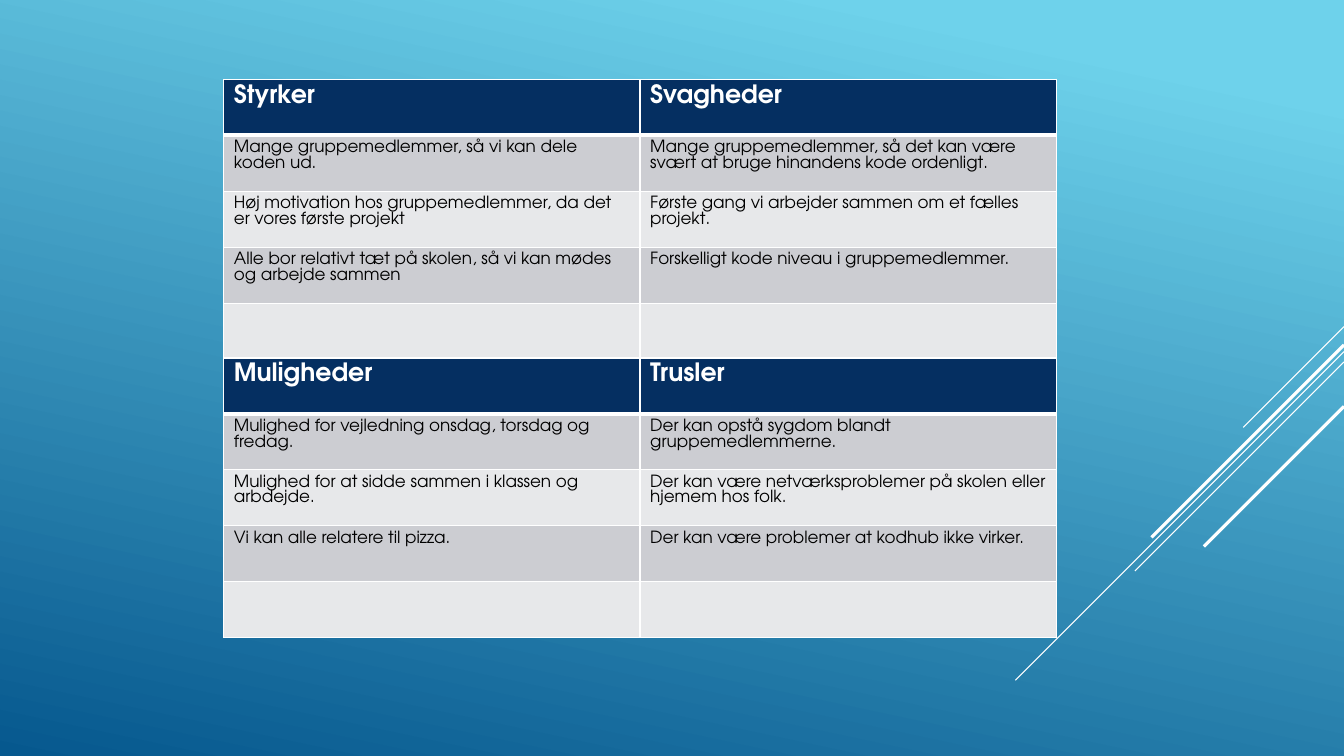
import pptx
import pptx.dml.color
import pptx.enum.shapes
import pptx.oxml
import pptx.oxml.ns
import pptx.util
from pptx.util import Cm

FONT = "TeX Gyre Adventor"
WIDTH, HEIGHT = 33.87, 19.05
LEFT, TOP = 5.64, 2.0
COL_W, ROW_H, TABLE_STEP = 10.49, 1.41, 7.02
WHITE, NAVY, BLACK = "FFFFFF", "052F61", "000000"
BANDS = ["E7E8EA", "CCCDD2"]
HEADER = {"size": pptx.util.Pt(18), "bold": True, "name": FONT}
BODY = {"size": pptx.util.Pt(12), "bold": False, "name": FONT}
LINE_SPACING = 0.93

SWOT = [
    [
        ["Styrker",
         "Mange gruppemedlemmer, så vi kan dele koden ud.",
         "Høj motivation hos gruppemedlemmer, da det er vores første projekt",
         "Alle bor relativt tæt på skolen, så vi kan mødes og arbejde sammen",
         ""],
        ["Svagheder",
         "Mange gruppemedlemmer, så det kan være svært at bruge hinandens kode ordenligt.",
         "Første gang vi arbejder sammen om et fælles projekt.",
         "Forskelligt kode niveau i gruppemedlemmer.",
         ""],
    ],
    [
        ["Muligheder",
         "Mulighed for vejledning onsdag, torsdag og fredag.",
         "Mulighed for at sidde sammen i klassen og arbdejde.",
         "Vi kan alle relatere til pizza.",
         ""],
        ["Trusler",
         "Der kan opstå sygdom blandt gruppemedlemmerne.",
         "Der kan være netværksproblemer på skolen eller hjemem hos folk.",
         "Der kan være problemer at kodhub ikke virker.",
         ""],
    ],
]

DIAGONALS = [
    (8.23, 2.54, 0.75),
    (8.86, 8.28, 0.75),
    (9.12, 5.27, 0.75),
    (8.69, 4.85, 2.25),
    (10.24, 3.53, 2.25),
]


def rgb(value):
    """Turn a hex string into a colour."""
    return pptx.dml.color.RGBColor.from_string(value)


def set_background(slide):
    """Fill the background with the blue gradient."""
    fill = slide.background.fill
    fill.gradient()
    fill.gradient_angle = 258
    for stop, (pos, color) in zip(fill.gradient_stops, [(0.1, "6ED2EB"), (1, "06588E")]):
        stop.position = pos
        stop.color.rgb = rgb(color)


def add_diagonal(slide, y, run, weight):
    """Draw a 45 degree line down and left from the right edge."""
    sp = slide.shapes.add_connector(
        pptx.enum.shapes.MSO_CONNECTOR.STRAIGHT,
        Cm(WIDTH), Cm(y), Cm(WIDTH - run), Cm(y + run))
    sp.line.color.rgb = rgb(WHITE)
    sp.line.width = pptx.util.Pt(weight)
    pptx.oxml.ns.qn("a:effectLst")
    sp._element.spPr.append(pptx.oxml.parse_xml(
        f'<a:effectLst {pptx.oxml.ns.nsdecls("a")}/>'))


def set_borders(cell, widths):
    """Give each side of a cell a white border of its width in points."""
    tcPr = cell._tc.get_or_add_tcPr()
    for side, width in widths.items():
        tcPr.append(pptx.oxml.parse_xml(
            f'<a:ln{side} {pptx.oxml.ns.nsdecls("a")} w="{pptx.util.Pt(width)}">'
            f'<a:solidFill><a:srgbClr val="{WHITE}"/></a:solidFill></a:ln{side}>'))


def format_cell(cell, text, fill, color, formats):
    """Write a cell's text and set its fill and font."""
    cell.fill.solid()
    cell.fill.fore_color.rgb = rgb(fill)
    p = cell.text_frame.paragraphs[0]
    p.line_spacing = pptx.util.Pt(formats["size"].pt * LINE_SPACING)
    if not text:
        return
    r = p.add_run()
    r.text = text
    r.font.color.rgb = rgb(color)
    for name, value in formats.items():
        setattr(r.font, name, value)


def add_swot_table(slide, left, top, texts):
    """Add one quadrant: a header row above banded rows."""
    table = slide.shapes.add_table(
        len(texts), 1, Cm(left), Cm(top), Cm(COL_W), Cm(ROW_H * len(texts))).table
    table.first_row = table.horz_banding = False
    for i, text in enumerate(texts):
        table.rows[i].height = Cm(ROW_H)
        cell = table.cell(i, 0)
        set_borders(cell, {"L": 1, "R": 1, "T": 3 if i == 1 else 1, "B": 3 if i == 0 else 1})
        if i == 0:
            format_cell(cell, text, NAVY, WHITE, HEADER)
        else:
            format_cell(cell, text, BANDS[i % 2], BLACK, BODY)


def main():
    """Build the SWOT slide and save it."""
    prs = pptx.Presentation()
    prs.slide_width, prs.slide_height = Cm(WIDTH), Cm(HEIGHT)
    slide = prs.slides.add_slide(prs.slide_layouts[6])
    set_background(slide)
    for y, run, weight in DIAGONALS:
        add_diagonal(slide, y, run, weight)
    for row, quadrants in enumerate(SWOT):
        for col, texts in enumerate(quadrants):
            add_swot_table(slide, LEFT + col * COL_W, TOP + row * TABLE_STEP, texts)
    prs.save("out.pptx")


if __name__ == "__main__":
    main()
